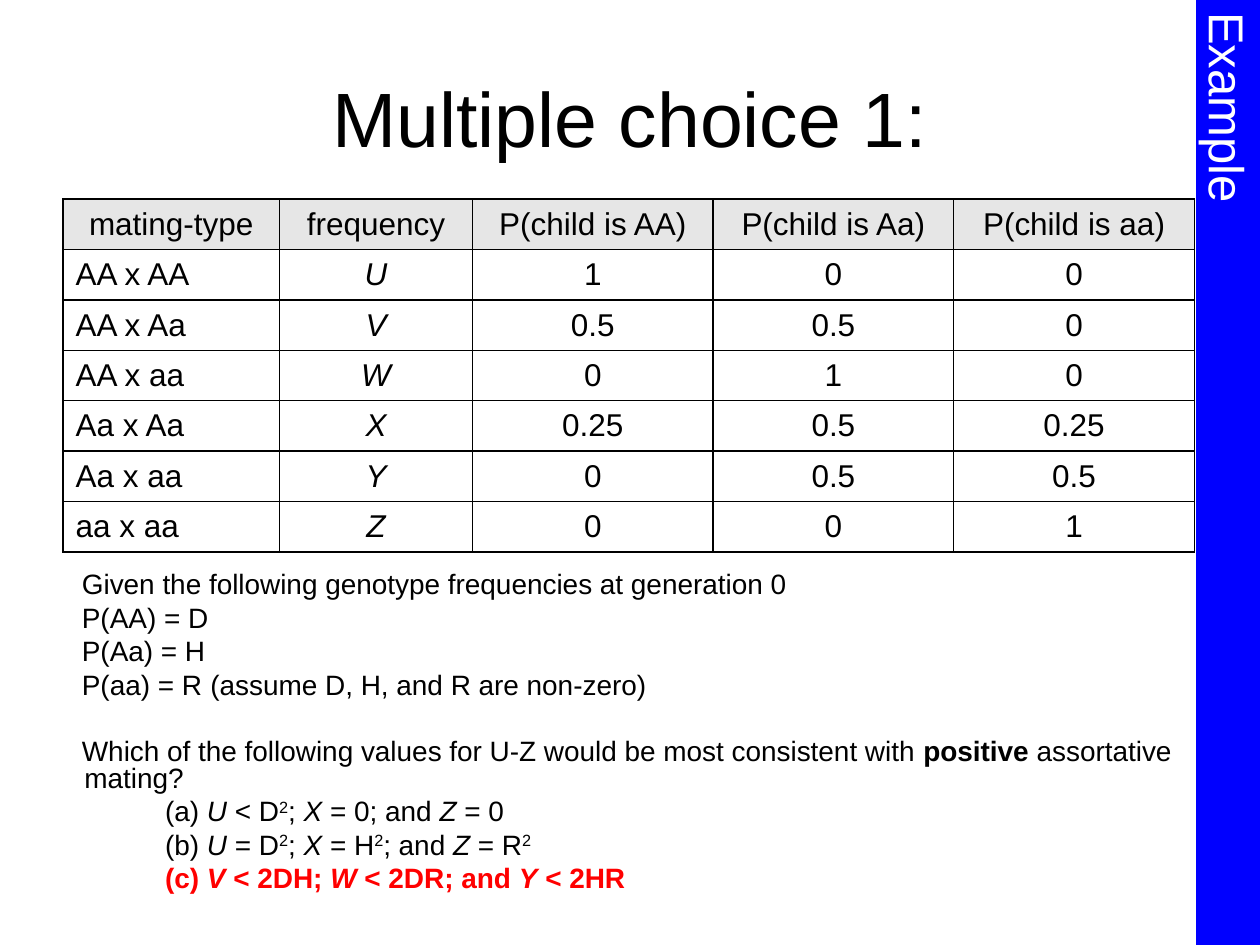
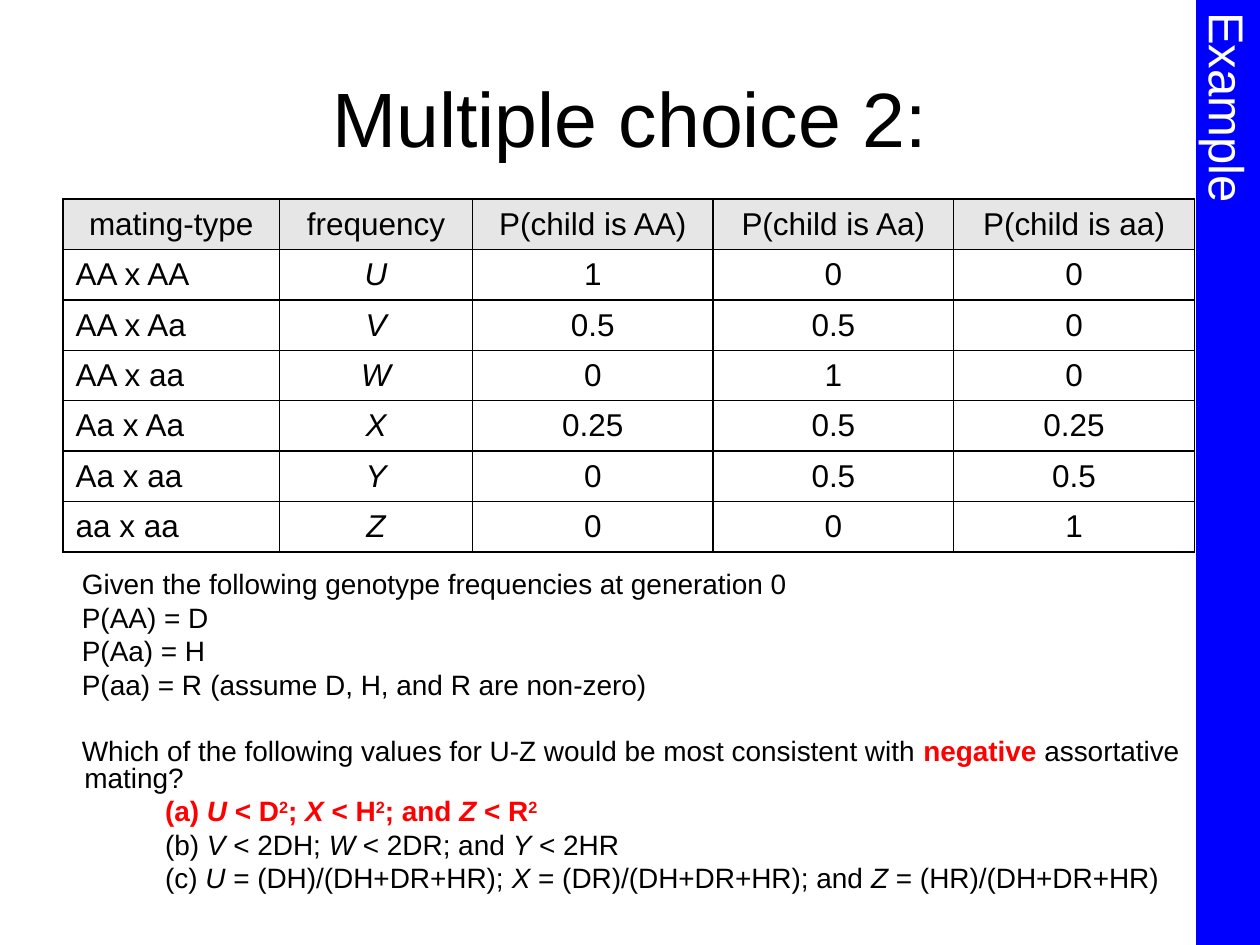
from dataclasses import dataclass
from itertools import groupby

from lxml import etree
from pptx import Presentation
from pptx.dml.color import RGBColor
from pptx.enum.shapes import MSO_SHAPE
from pptx.enum.text import MSO_ANCHOR, MSO_AUTO_SIZE, PP_ALIGN
from pptx.oxml.ns import qn
from pptx.util import Inches, Pt

RECT = MSO_SHAPE.RECTANGLE
MIDDLE, TOP = MSO_ANCHOR.MIDDLE, MSO_ANCHOR.TOP
LEFT, CENTER = PP_ALIGN.LEFT, PP_ALIGN.CENTER
NO_AUTOFIT = MSO_AUTO_SIZE.NONE

FONT = "Arial"
BLACK, WHITE, BLUE, RED, GREY = "000000", "FFFFFF", "0000FF", "FF0000", "E6E6E6"
FREQUENCIES = "UVWXYZ"
SQUARED = "²"
PARA_GAP, QUESTION_GAP = 3.8, 22.3
COL_WIDTHS = (1.72, 1.53, 1.91, 1.91, 1.91)
ROW_HEIGHT = 0.4
MATING_TABLE = (
    ("mating-type", "frequency", "P(child is AA)", "P(child is Aa)", "P(child is aa)"),
    ("AA x AA", "U", "1", "0", "0"),
    ("AA x Aa", "V", "0.5", "0.5", "0"),
    ("AA x aa", "W", "0", "1", "0"),
    ("Aa x Aa", "X", "0.25", "0.5", "0.25"),
    ("Aa x aa", "Y", "0", "0.5", "0.5"),
    ("aa x aa", "Z", "0", "0", "1"),
)
GIVENS = (
    "Given the following genotype frequencies at generation 0",
    "P(AA) = D",
    "P(Aa) = H",
    "P(aa) = R\t(assume D, H, and R are non-zero)",
)


@dataclass
class Question:
    """One multiple choice slide."""
    title: str
    mating: str
    mating_color: str
    options: tuple[str, ...]
    answer: int


QUESTIONS = (
    Question("Multiple choice 1:", "positive", BLACK, (
        "(a) U < D²; X = 0; and Z = 0",
        "(b) U = D²; X = H²; and Z = R²",
        "(c) V < 2DH; W < 2DR; and Y < 2HR",
    ), 2),
    Question("Multiple choice 2:", "negative", RED, (
        "(a) U < D²; X < H²; and Z < R²",
        "(b) V < 2DH; W < 2DR; and Y < 2HR",
        "(c) U = (DH)/(DH+DR+HR); X = (DR)/(DH+DR+HR); and Z = (HR)/(DH+DR+HR)",
    ), 0),
)


def rgb(color: str) -> RGBColor:
    """Turn a hex string into a colour."""
    return RGBColor.from_string(color)


def format_run(r, size: float, color: str = BLACK, bold: bool = False,
               italic: bool = False) -> None:
    """Give a run its font, size, colour and style."""
    f = r.font
    f.name, f.size, f.bold, f.italic = FONT, Pt(size), bold, italic
    f.color.rgb = rgb(color)


def add_run(p, text: str, color: str = BLACK, bold: bool = False,
            italic: bool = False):
    """Append a body text run to a paragraph."""
    r = p.add_run()
    r.text = text
    format_run(r, 16, color, bold, italic)
    return r


def format_line(p, left: float, indent: float, gap: float = PARA_GAP) -> None:
    """Set spacing and indents of a paragraph without bullet."""
    p.line_spacing, p.space_before = 0.8, Pt(gap)
    pPr = p._p.get_or_add_pPr()
    pPr.set("marL", str(Inches(left)))
    pPr.set("indent", str(Inches(indent)))
    etree.SubElement(pPr, qn("a:buNone"))


def add_tab_stop(p, pos: float) -> None:
    """Add a left tab stop to a paragraph."""
    tabs = etree.SubElement(p._p.get_or_add_pPr(), qn("a:tabLst"))
    etree.SubElement(tabs, qn("a:tab"), pos=str(Inches(pos)), algn="l")


def add_option(p, text: str, correct: bool) -> None:
    """Write an answer with italic frequencies and raised squares."""
    p.level = 1
    format_line(p, 1.21, -0.5)
    color = RED if correct else BLACK
    for (italic, raised), chars in groupby(
            text, lambda c: (c in FREQUENCIES, c == SQUARED)):
        part = "".join(chars).replace(SQUARED, "2")
        r = add_run(p, part, color, correct, italic)
        if raised:
            r._r.get_or_add_rPr().set("baseline", "30000")


def add_band(s) -> None:
    """Draw the vertical label band behind everything else."""
    sp = s.shapes.add_shape(RECT, Inches(9.5), 0, Inches(0.5), Inches(7.5))
    sp.shadow.inherit = False
    sp.fill.solid()
    sp.fill.fore_color.rgb = rgb(BLUE)
    sp.line.color.rgb = rgb(BLUE)
    sp.line.width = Pt(1)
    tf = sp.text_frame
    tf.text = "Example"
    tf.word_wrap = False
    tf.vertical_anchor = MIDDLE
    tf._txBody.bodyPr.set("vert", "eaVert")
    p = tf.paragraphs[0]
    p.alignment = CENTER
    format_run(p.runs[0], 28, WHITE)
    sp._element.getparent().insert(2, sp._element)


def place(sp, left: float, top: float, width: float, height: float):
    """Move a placeholder and return its text frame."""
    sp.left, sp.top = Inches(left), Inches(top)
    sp.width, sp.height = Inches(width), Inches(height)
    tf = sp.text_frame
    tf.word_wrap, tf.auto_size = True, NO_AUTOFIT
    return tf


def set_title(s, text: str) -> None:
    """Fill the title placeholder."""
    tf = place(s.shapes.title, 0.5, 0.3, 9, 1.25)
    tf.text = text
    tf.vertical_anchor = MIDDLE
    p = tf.paragraphs[0]
    p.alignment = CENTER
    format_run(p.runs[0], 44)


def format_cell(cell, header: bool, first: bool, italic: bool) -> None:
    """Give a table cell its borders, fill and text style."""
    tcPr = cell._tc.get_or_add_tcPr()
    for side in ("lnL", "lnR", "lnT", "lnB"):
        ln = etree.SubElement(tcPr, qn(f"a:{side}"), w=str(Pt(1)))
        fill = etree.SubElement(ln, qn("a:solidFill"))
        etree.SubElement(fill, qn("a:srgbClr"), val=BLACK)
    if header:
        cell.fill.solid()
        cell.fill.fore_color.rgb = rgb(GREY)
    else:
        cell.fill.background()
    cell.vertical_anchor = MIDDLE
    p = cell.text_frame.paragraphs[0]
    p.alignment = LEFT if first and not header else CENTER
    format_run(p.runs[0], 18, italic=italic)


def add_mating_table(s) -> None:
    """Add the table of mating types and offspring probabilities."""
    rows, cols = len(MATING_TABLE), len(COL_WIDTHS)
    table = s.shapes.add_table(
        rows, cols, Inches(0.5), Inches(1.58),
        Inches(sum(COL_WIDTHS)), Inches(rows * ROW_HEIGHT)).table
    for col, width in zip(table.columns, COL_WIDTHS):
        col.width = Inches(width)
    for i, values in enumerate(MATING_TABLE):
        table.rows[i].height = Inches(ROW_HEIGHT)
        for j, value in enumerate(values):
            cell = table.cell(i, j)
            cell.text = value
            format_cell(cell, i == 0, j == 0, value in FREQUENCIES)


def set_body(s, q: Question) -> None:
    """Fill the body placeholder with givens, question and options."""
    tf = place(s.placeholders[1], 0.5, 4.5, 9, 2.58)
    tf.vertical_anchor = TOP
    tf.text = "\n".join(GIVENS)
    for p in tf.paragraphs:
        format_line(p, 0.07, -0.02)
        for r in p.runs:
            format_run(r, 16)
    add_tab_stop(tf.paragraphs[-1], 4.07)
    p = tf.add_paragraph()
    format_line(p, 0.07, -0.02, QUESTION_GAP)
    add_run(p, "Which of the following values for U-Z would be most consistent with ")
    add_run(p, q.mating, q.mating_color, bold=True)
    add_run(p, " assortative mating?")
    for i, option in enumerate(q.options):
        add_option(tf.add_paragraph(), option, i == q.answer)


def main() -> None:
    """Build and save the presentation."""
    prs = Presentation()
    prs.slide_width, prs.slide_height = Inches(10), Inches(7.5)
    for q in QUESTIONS:
        s = prs.slides.add_slide(prs.slide_layouts[1])
        add_band(s)
        set_title(s, q.title)
        add_mating_table(s)
        set_body(s, q)
    prs.save("out.pptx")


main()
